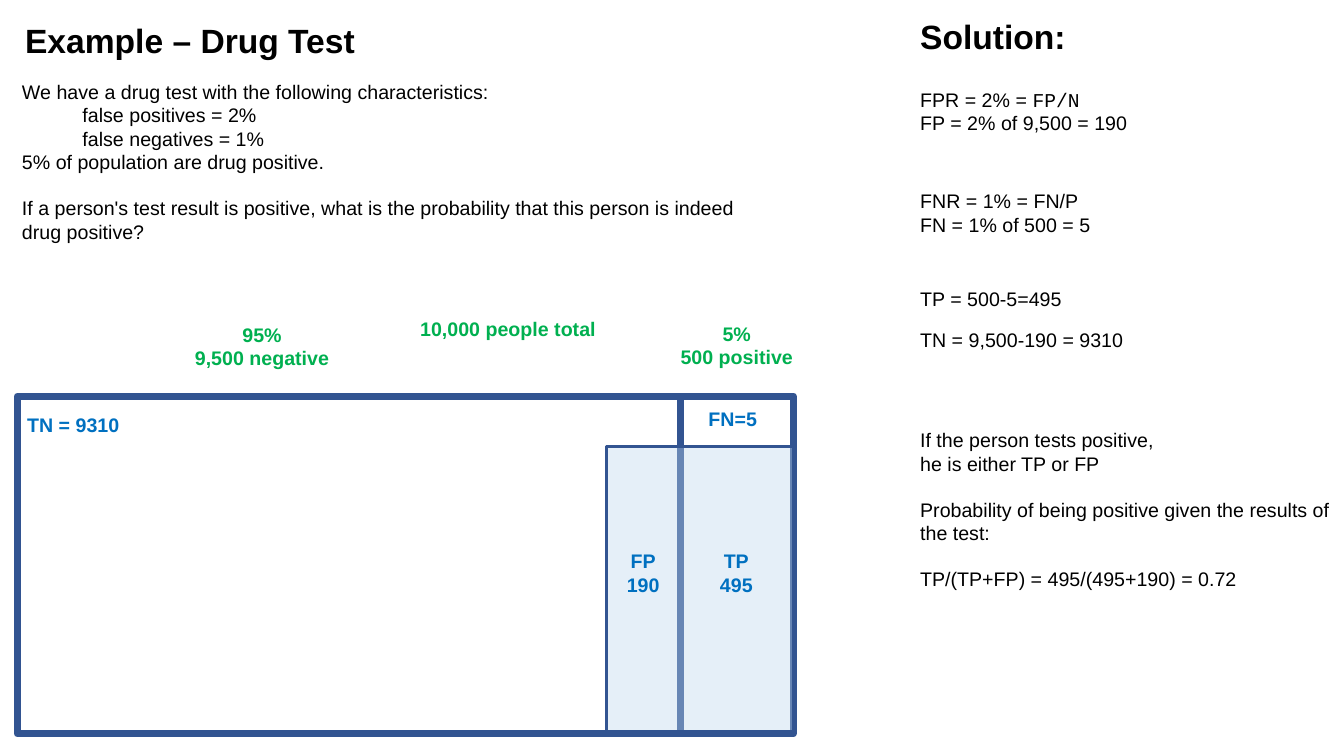
from dataclasses import dataclass

from lxml import etree
from pptx import Presentation
from pptx.dml.color import RGBColor
from pptx.enum.shapes import MSO_SHAPE
from pptx.enum.text import MSO_ANCHOR, PP_ALIGN
from pptx.oxml.ns import qn
from pptx.util import Inches, Pt

RECTANGLE = MSO_SHAPE.RECTANGLE
TOP = MSO_ANCHOR.TOP
LEFT, CENTER = PP_ALIGN.LEFT, PP_ALIGN.CENTER
CELL = Inches(0.1)
COLUMNS, ROWS = 133.33, 75
BLANK = 6


@dataclass(frozen=True)
class Theme:
    ink: str = "000000"
    outcome: str = "0070C0"
    group: str = "00B050"
    outline: str = "325491"
    tested: str = "BDD7EE"
    tested_alpha: int = 39
    font: str = "Arial"
    mono: str = "Courier New"
    title_size: int = 24
    body_size: int = 14


@dataclass(frozen=True)
class Line:
    words: str
    formula: str = ""
    gap: int = 0
    indent: int = 0


THEME = Theme()
BODY = {"size": Pt(THEME.body_size), "bold": False, "ink": THEME.ink}
TITLE = {"size": Pt(THEME.title_size), "bold": True, "ink": THEME.ink}
OUTCOME = {"size": Pt(THEME.body_size), "bold": True, "ink": THEME.outcome}
GROUP = OUTCOME | {"ink": THEME.group}

SOLUTION_COLUMN = 90.3
POPULATION_LEFT, SPLIT, POPULATION_RIGHT = 1.7, 67.5, 78.7
POPULATION_TOP, POPULATION_ROWS = 39.3, 33.5
TESTED_LEFT, TESTED_TOP, TESTED_ROWS = 60.2, 44.3, 28.3

QUESTION = [
    Line("We have a drug test with the following characteristics:"),
    Line("false positives = 2%", indent=6),
    Line("false negatives = 1%", indent=6),
    Line("5% of population are drug positive."),
    Line("If a person's test result is positive, what is the probability "
         "that this person is indeed drug positive?", gap=16),
]
SOLUTION_STEPS = [
    (8.2, 32.8, 5.7, [Line("FPR = 2% = ", formula="FP/N"),
                      Line("FP = 2% of 9,500 = 190")]),
    (18.3, 33.3, 5.7, [Line("FNR = 1% = FN/P"), Line("FN = 1% of 500 = 5")]),
    (28, 22.4, 3.4, [Line("TP = 500-5=495")]),
    (32, 31.1, 3.4, [Line("TN = 9,500-190 = 9310")]),
    (42, 43.1, 17.5, [
        Line("If the person tests positive,"),
        Line("he is either TP or FP"),
        Line("Probability of being positive given the results of the test:", gap=16),
        Line("TP/(TP+FP) = 495/(495+190) = 0.72", gap=16),
    ]),
]
DIAGRAM_LABELS = [
    (69.3, 54, 7.5, 7.1, ["TP", "495"], OUTCOME, CENTER),
    (69.3, 39.9, 7.5, 4, ["FN=5"], OUTCOME, LEFT),
    (60.2, 54, 7.2, 7.1, ["FP", "190"], OUTCOME, CENTER),
    (1.7, 40.5, 13.2, 4, ["TN = 9310"], OUTCOME, LEFT),
    (40.7, 30.9, 25.4, 4, ["10,000 people total"], GROUP, LEFT),
    (16.6, 31.5, 18.8, 7.1, ["95%", "9,500 negative"], GROUP, CENTER),
    (65.6, 31.4, 15, 7.1, ["5%", "500 positive"], GROUP, CENTER),
]


def cells(*counts):
    return [round(count * CELL) for count in counts]


def add_words(paragraph, words, style, font):
    run = paragraph.add_run()
    run.text = words
    for attribute, value in {"name": font, "size": style["size"], "bold": style["bold"]}.items():
        setattr(run.font, attribute, value)
    run.font.color.rgb = RGBColor.from_string(style["ink"])


def add_text(slide, column, row, width, height, lines, style, align=LEFT):
    frame = slide.shapes.add_textbox(*cells(column, row, width, height)).text_frame
    for attribute, value in {"word_wrap": True, "vertical_anchor": TOP}.items():
        setattr(frame, attribute, value)
    for index, line in enumerate(lines):
        paragraph = frame.add_paragraph() if index else frame.paragraphs[0]
        for attribute, value in {"alignment": align, "space_before": Pt(line.gap)}.items():
            setattr(paragraph, attribute, value)
        if line.indent:
            paragraph._p.get_or_add_pPr().set("marL", str(line.indent * CELL))
        add_words(paragraph, line.words, style, THEME.font)
        if line.formula:
            add_words(paragraph, line.formula, style, THEME.mono)


def add_region(slide, left, top, right, height, weight, tint=None):
    region = slide.shapes.add_shape(RECTANGLE, *cells(left, top, right - left, height))
    region.shadow.inherit = False
    region.line.color.rgb = RGBColor.from_string(THEME.outline)
    region.line.width = Pt(weight)
    if tint is None:
        region.fill.background()
        return
    region.fill.solid()
    region.fill.fore_color.rgb = RGBColor.from_string(tint)
    color = region._element.spPr.find(qn("a:solidFill"))[0]
    etree.SubElement(color, qn("a:alpha")).set("val", str(THEME.tested_alpha * 1000))


def add_population(slide):
    for left, right in ((POPULATION_LEFT, SPLIT), (SPLIT, POPULATION_RIGHT)):
        add_region(slide, left, POPULATION_TOP, right, POPULATION_ROWS, 5)
    add_region(slide, TESTED_LEFT, TESTED_TOP, POPULATION_RIGHT, TESTED_ROWS, 2, THEME.tested)
    for column, row, width, height, words, style, align in DIAGRAM_LABELS:
        add_text(slide, column, row, width, height, map(Line, words), style, align)


def add_solution(slide):
    add_text(slide, SOLUTION_COLUMN, 1.1, 36.2, 5, [Line("Solution:")], TITLE)
    for row, width, height, lines in SOLUTION_STEPS:
        add_text(slide, SOLUTION_COLUMN, row, width, height, lines, BODY)


def main():
    deck = Presentation()
    deck.slide_width, deck.slide_height = cells(COLUMNS, ROWS)
    slide = deck.slides.add_slide(deck.slide_layouts[BLANK])
    add_population(slide)
    add_text(slide, 1.5, 1.5, 36.2, 5, [Line("Example – Drug Test")], TITLE)
    add_text(slide, 1.2, 7.4, 73.3, 22.2, QUESTION, BODY)
    add_solution(slide)
    deck.save("out.pptx")


if __name__ == "__main__":
    main()
